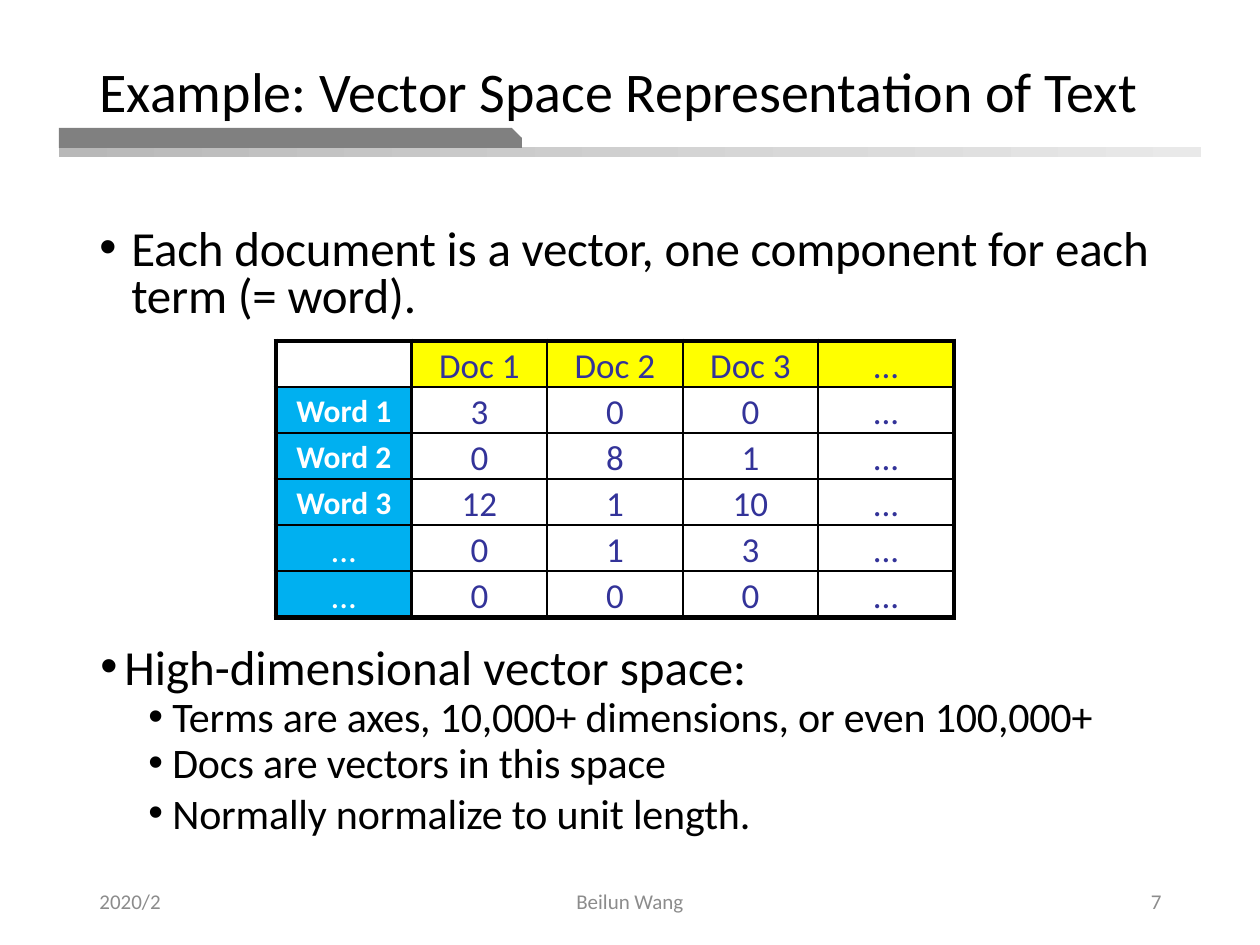
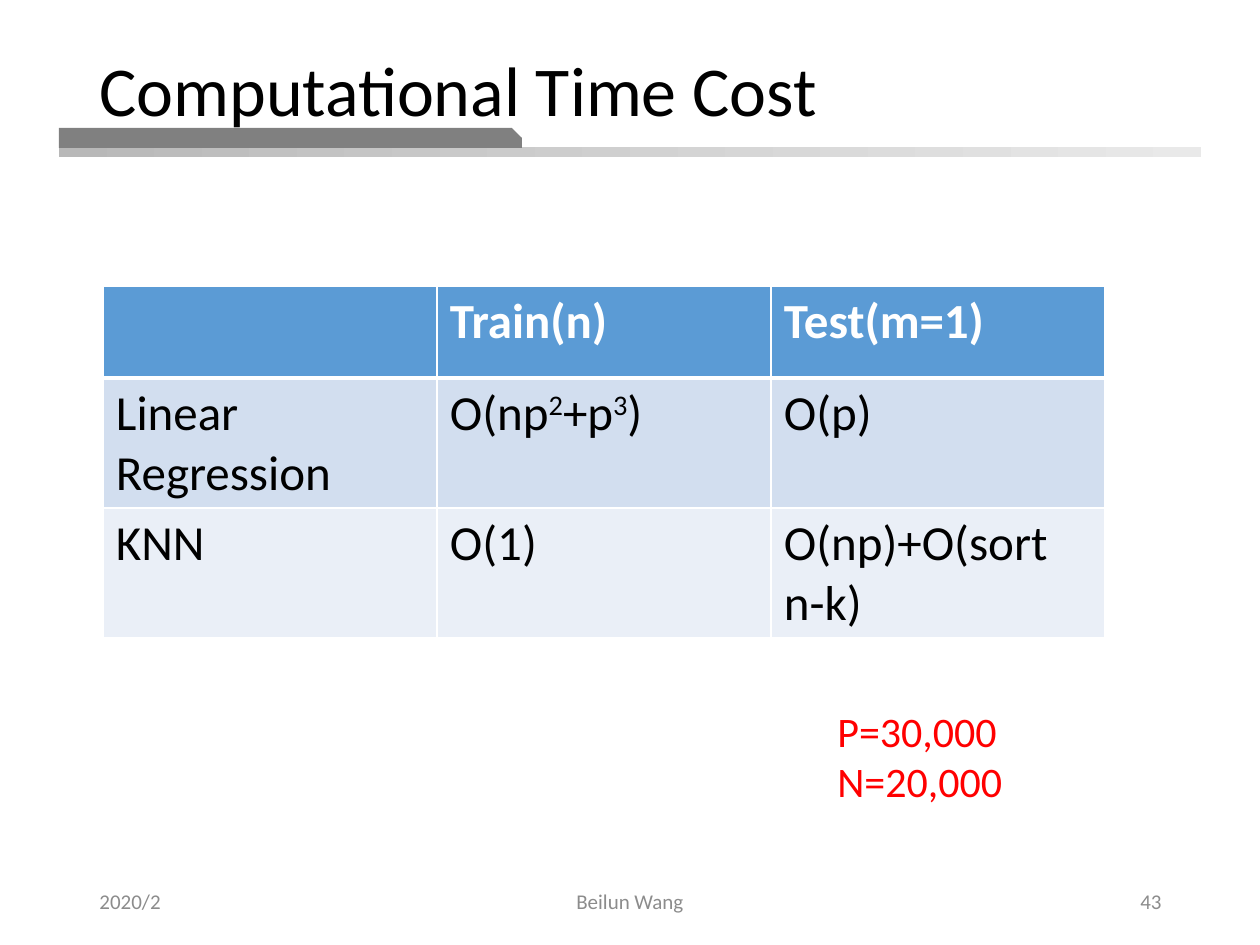
"""Build two lecture slides: a term-document matrix and a time cost comparison."""
from dataclasses import dataclass
from typing import Any

import lxml.etree
import pptx
import pptx.dml.color
import pptx.enum.shapes
import pptx.enum.text
import pptx.oxml.ns
import pptx.presentation
import pptx.slide
import pptx.util

PX = 914400 / 126
FONT = "Calibri"
COLORS = {
    "black": "000000", "white": "FFFFFF", "red": "FF0000", "footer": "8C8C8C",
    "band": "808080", "rule_start": "B8B8B8", "rule_end": "E9E9E9",
    "doc": "FFFF00", "word": "00B0F0", "count": "333399",
    "header": "5B9BD5", "odd_row": "D2DEEF", "even_row": "EAEFF7",
}
ALIGN = pptx.enum.text.PP_ALIGN
ANCHOR = pptx.enum.text.MSO_ANCHOR
SHAPE = pptx.enum.shapes.MSO_SHAPE


@dataclass(frozen=True)
class Area:
    """A rectangle on the slide, in px."""
    left: int
    top: int
    width: int
    height: int

    def emu(self) -> tuple[int, ...]:
        """Give the rectangle in EMU."""
        return tuple(emu(side) for side in (self.left, self.top, self.width, self.height))


@dataclass(frozen=True)
class Line:
    """One paragraph; every second run is a superscript."""
    runs: tuple[str, ...]
    size: int
    color: str = "black"
    bold: bool = False
    align: Any = ALIGN.LEFT
    spacing: Any = 1.0
    before: float = 0
    margin: int = 0
    hanging: int = 0
    level: int = 0
    tracking: int = 0


@dataclass(frozen=True)
class Cell:
    """A table cell with its fill and top inset."""
    line: Line | None
    fill: str
    inset: int


@dataclass(frozen=True)
class Grid:
    """A table with the line widths of its rows and columns."""
    area: Area
    row_heights: tuple[int, ...]
    horizontals: tuple[float, ...]
    verticals: tuple[float, ...]
    border: str
    side_inset: int
    cells: list[list[Cell]]


TITLE = {"spacing": 0.9}
FOOTERS = (
    (Area(87, 876, 284, 50), ALIGN.LEFT, "2020/2"),
    (Area(417, 876, 426, 50), ALIGN.CENTER, "Beilun Wang"),
    (Area(890, 876, 284, 50), ALIGN.RIGHT, "{number}"),
)
COUNTS = (
    ("", "Doc 1", "Doc 2", "Doc 3", "..."),
    ("Word 1", "3", "0", "0", "..."),
    ("Word 2", "0", "8", "1", "..."),
    ("Word 3", "12", "1", "10", "..."),
    ("...", "0", "1", "3", "..."),
    ("...", "0", "0", "0", "..."),
)
COSTS = (
    ((), ("Train(n)",), ("Test(m=1)",)),
    (("Linear Regression",), ("O(np", "2", "+p", "3", ")"), ("O(p)",)),
    (("KNN",), ("O(1)",), ("O(np)+O(sort n-k)",)),
)


def emu(px: float) -> int:
    """Turn px into EMU."""
    return round(px * PX)


def rgb(name: str) -> pptx.dml.color.RGBColor:
    """Look up a colour by name."""
    return pptx.dml.color.RGBColor.from_string(COLORS[name])


def apply(target: Any, formats: dict[str, Any]) -> None:
    """Set each format value on the target."""
    for attribute, value in formats.items():
        setattr(target, attribute, value)


def add_element(parent: Any, tag: str, **attributes: str) -> Any:
    """Append a DrawingML element."""
    return lxml.etree.SubElement(parent, pptx.oxml.ns.qn(tag), attributes)


def write_line(paragraph: Any, line: Line) -> None:
    """Fill a paragraph with the runs of a line."""
    apply(paragraph, {
        "alignment": line.align, "line_spacing": line.spacing,
        "space_before": pptx.util.Pt(line.before), "level": line.level,
    })
    if line.hanging:
        properties = paragraph._p.get_or_add_pPr()
        properties.set("marL", str(emu(line.margin)))
        properties.set("indent", str(-emu(line.hanging)))
        add_element(properties, "a:buFont", typeface="Arial")
        add_element(properties, "a:buChar", char="•")
    for index, text in enumerate(line.runs):
        run = paragraph.add_run()
        run.text = text
        apply(run.font, {"name": FONT, "size": pptx.util.Pt(line.size), "bold": line.bold})
        run.font.color.rgb = rgb(line.color)
        if line.tracking:
            run._r.get_or_add_rPr().set("spc", str(line.tracking))
        if index % 2:
            run._r.get_or_add_rPr().set("baseline", "30000")


def add_lines(slide: pptx.slide.Slide, area: Area, lines: list[Line], anchor: Any = ANCHOR.TOP) -> None:
    """Add a wrapping text box."""
    frame = slide.shapes.add_textbox(*area.emu()).text_frame
    apply(frame, {"word_wrap": True, "vertical_anchor": anchor})
    for index, line in enumerate(lines):
        write_line(frame.add_paragraph() if index else frame.paragraphs[0], line)


def add_band(slide: pptx.slide.Slide, kind: Any, area: Area) -> Any:
    """Add a shape without outline or shadow."""
    band = slide.shapes.add_shape(kind, *area.emu())
    band.shadow.inherit = False
    band.line.fill.background()
    return band


def add_page(deck: pptx.presentation.Presentation, title: str, size: int, title_area: Area,
             number: int) -> pptx.slide.Slide:
    """Add a slide with its bands, title and footers."""
    slide = deck.slides.add_slide(deck.slide_layouts[6])
    rule = add_band(slide, SHAPE.RECTANGLE, Area(59, 147, 1142, 10))
    rule.fill.gradient()
    rule.fill.gradient_angle = 0
    for stop, color in zip(rule.fill.gradient_stops, ("rule_start", "rule_end")):
        stop.color.rgb = rgb(color)
    tab = add_band(slide, SHAPE.SNIP_1_RECTANGLE, Area(59, 128, 463, 20))
    tab.adjustments[0] = 0.5
    tab.fill.solid()
    tab.fill.fore_color.rgb = rgb("band")
    add_lines(slide, title_area, [Line((title,), size, **TITLE)])
    for area, align, text in FOOTERS:
        footer = Line((text.format(number=number),), 12, "footer", align=align)
        add_lines(slide, area, [footer], ANCHOR.MIDDLE)
    return slide


def add_grid(slide: pptx.slide.Slide, grid: Grid) -> None:
    """Add a table with its own fills and borders."""
    columns = len(grid.verticals) - 1
    table = slide.shapes.add_table(len(grid.cells), columns, *grid.area.emu()).table
    apply(table, {"first_row": False, "horz_banding": False})
    for column in table.columns:
        column.width = emu(grid.area.width / columns)
    for row, (height, contents) in enumerate(zip(grid.row_heights, grid.cells)):
        table.rows[row].height = emu(height)
        for column, content in enumerate(contents):
            cell = table.cell(row, column)
            apply(cell, {
                "margin_left": emu(grid.side_inset), "margin_right": emu(grid.side_inset),
                "margin_top": emu(content.inset),
                "margin_bottom": emu(6 if grid.side_inset else 0),
            })
            edges = {
                "a:lnL": grid.verticals[column], "a:lnR": grid.verticals[column + 1],
                "a:lnT": grid.horizontals[row], "a:lnB": grid.horizontals[row + 1],
            }
            for tag, width in edges.items():
                edge = add_element(cell._tc.get_or_add_tcPr(), tag, w=str(pptx.util.Pt(width)))
                add_element(add_element(edge, "a:solidFill"), "a:srgbClr", val=COLORS[grid.border])
            cell.fill.solid()
            cell.fill.fore_color.rgb = rgb(content.fill)
            if content.line:
                write_line(cell.text_frame.paragraphs[0], content.line)


def count_cell(row: int, column: int, text: str) -> Cell:
    """Style one cell of the term-document matrix."""
    if not text:
        return Cell(None, "white", 4)
    is_word = text.startswith("Word")
    fill = "doc" if row == 0 else "word" if column == 0 else "white"
    color = "white" if column == 0 else "count"
    line = Line((text,), 18 if is_word else 20, color, is_word, ALIGN.CENTER, before=3 if is_word else 2)
    return Cell(line, fill, 5 if is_word else 4)


def cost_cell(row: int, runs: tuple[str, ...]) -> Cell:
    """Style one cell of the time cost table."""
    line = Line(runs, 28, "black" if row else "white", not row) if runs else None
    return Cell(line, ("header", "odd_row", "even_row")[row], 6)


def build_vector_space(deck: pptx.presentation.Presentation) -> None:
    """Build the slide on the vector space of text."""
    slide = add_page(deck, "Example: Vector Space Representation of Text", 32, Area(87, 58, 1100, 89), 7)
    claim = "Each document is a vector, one component for each term (= word)."
    add_lines(slide, Area(87, 223, 1086, 110), [
        Line((claim,), 28, spacing=0.8, before=10, margin=32, hanging=32, tracking=-10),
    ])
    point = {"size": 24, "margin": 73, "hanging": 24, "level": 1}
    add_lines(slide, Area(87, 645, 1086, 207), [
        Line(("High-dimensional vector space:",), 28, spacing=pptx.util.Pt(25), before=1, margin=25, hanging=24),
        Line(("Terms are axes, 10,000+ dimensions, or even 100,000+",),
             spacing=pptx.util.Pt(21.2), before=5, tracking=-10, **point),
        Line(("Docs are vectors in this space",),
             spacing=pptx.util.Pt(21.4), before=5, tracking=-10, **point),
        Line(("Normally normalize to unit length.",), before=0.2, tracking=-10, **point),
    ])
    cells = [[count_cell(row, column, text) for column, text in enumerate(texts)]
             for row, texts in enumerate(COUNTS)]
    add_grid(slide, Grid(Area(276, 341, 678, 276), (46,) * 6, (3, *(1.5,) * 5, 3),
                         (3, *(1.5,) * 4, 3), "black", 0, cells))


def build_time_cost(deck: pptx.presentation.Presentation) -> None:
    """Build the slide on computational time cost."""
    slide = add_page(deck, "Computational Time Cost", 40, Area(87, 50, 1056, 81), 43)
    cells = [[cost_cell(row, runs) for runs in texts] for row, texts in enumerate(COSTS)]
    add_grid(slide, Grid(Area(103, 286, 1002, 352), (92, 130, 130), (1, 3, 1, 1),
                         (1,) * 4, "white", 13, cells))
    add_lines(slide, Area(825, 699, 318, 115),
              [Line((text,), 24, "red") for text in ("P=30,000", "N=20,000")])


def main() -> None:
    """Build and save the deck."""
    deck = pptx.Presentation()
    apply(deck, {"slide_width": emu(1260), "slide_height": emu(945)})
    build_vector_space(deck)
    build_time_cost(deck)
    deck.save("out.pptx")


if __name__ == "__main__":
    main()
